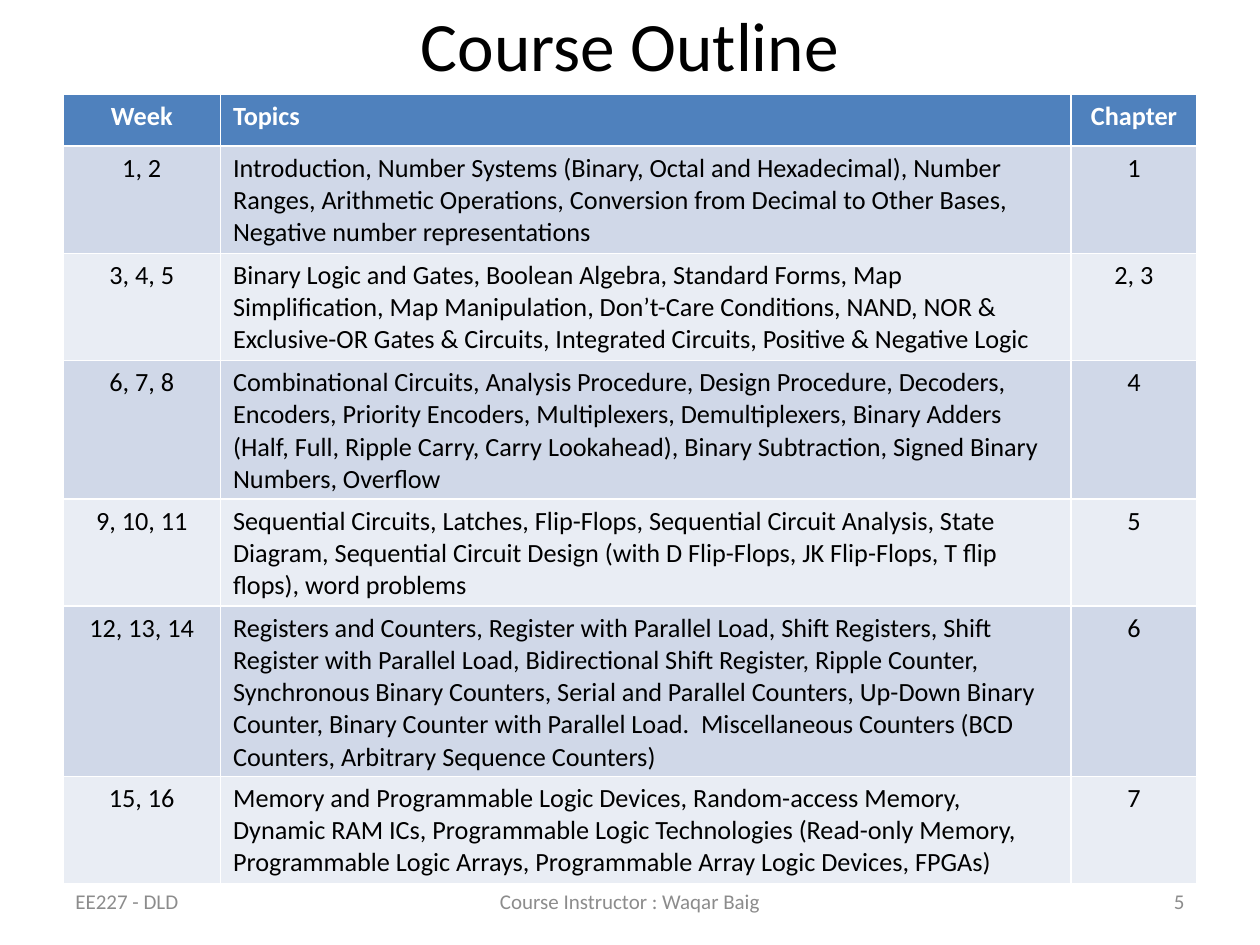
from pptx import Presentation
from pptx.dml.color import RGBColor
from pptx.enum.text import MSO_ANCHOR, PP_ALIGN
from pptx.util import Inches, Pt

FONT = "Calibri"
BLACK = RGBColor(0x00, 0x00, 0x00)
WHITE = RGBColor(0xFF, 0xFF, 0xFF)
GREY = RGBColor(0x8C, 0x8C, 0x8C)
BLUE = RGBColor(0x4F, 0x81, 0xBD)
BANDS = RGBColor(0xE9, 0xED, 0xF4), RGBColor(0xD0, 0xD8, 0xE8)
LEFT, MID, RIGHT = PP_ALIGN.LEFT, PP_ALIGN.CENTER, PP_ALIGN.RIGHT

WIDE, HIGH = 10, 7.5
EDGE = WIDE * 0.05
SPAN = WIDE - 2 * EDGE
TOP, ROW = HIGH * 0.1, 0.41
COLS = [(1.25, MID), (6.75, LEFT), (1, MID)]

TITLE = "Course Outline"
ROWS = [
    ("Week", "Topics", "Chapter"),
    ("1, 2",
     "Introduction, Number Systems (Binary, Octal and Hexadecimal), Number "
     "Ranges, Arithmetic Operations, Conversion from Decimal to Other Bases, "
     "Negative number representations", "1"),
    ("3, 4, 5",
     "Binary Logic and Gates, Boolean Algebra, Standard Forms, Map "
     "Simplification, Map Manipulation, Don’t-Care Conditions, NAND, NOR & "
     "Exclusive-OR Gates & Circuits, Integrated Circuits, Positive & Negative "
     "Logic", "2, 3"),
    ("6, 7, 8",
     "Combinational Circuits, Analysis Procedure, Design Procedure, Decoders, "
     "Encoders, Priority Encoders, Multiplexers, Demultiplexers, Binary Adders "
     "(Half, Full, Ripple Carry, Carry Lookahead), Binary Subtraction, Signed "
     "Binary Numbers, Overflow", "4"),
    ("9, 10, 11",
     "Sequential Circuits, Latches, Flip-Flops, Sequential Circuit Analysis, "
     "State Diagram, Sequential Circuit Design (with D Flip-Flops, JK "
     "Flip-Flops, T flip flops), word problems", "5"),
    ("12, 13, 14",
     "Registers and Counters, Register with Parallel Load, Shift Registers, "
     "Shift Register with Parallel Load, Bidirectional Shift Register, Ripple "
     "Counter, Synchronous Binary Counters, Serial and Parallel Counters, "
     "Up-Down Binary Counter, Binary Counter with Parallel Load.  "
     "Miscellaneous Counters (BCD Counters, Arbitrary Sequence Counters)", "6"),
    ("15, 16",
     "Memory and Programmable Logic Devices, Random-access Memory, Dynamic RAM "
     "ICs, Programmable Logic Technologies (Read-only Memory, Programmable "
     "Logic Arrays, Programmable Array Logic Devices, FPGAs)", "7"),
]
# Footer: text, width, alignment; each is set against its side of the margins
FOOTER = [
    ("EE227 - DLD", 2.33, LEFT),
    ("Course Instructor : Waqar Baig", 3.17, MID),
    ("5", 2.33, RIGHT),
]


def write(frame, text, size, color, align, bold=False):
    para = frame.paragraphs[0]
    para.alignment = align
    run = para.add_run()
    run.text = text
    font = run.font
    font.name, font.size, font.bold = FONT, Pt(size), bold
    font.color.rgb = color


def label(slide, box, text, size, color, align):
    frame = slide.shapes.add_textbox(*map(Inches, box)).text_frame
    frame.word_wrap = True
    frame.vertical_anchor = MSO_ANCHOR.MIDDLE
    write(frame, text, size, color, align)


def outline(slide):
    """Add the course table; rows grow to hold their text."""
    box = EDGE, TOP, SPAN, ROW * len(ROWS)
    table = slide.shapes.add_table(
        len(ROWS), len(COLS), *map(Inches, box)).table
    for col, (width, _) in zip(table.columns, COLS):
        col.width = Inches(width)
    for r, row in enumerate(ROWS):
        table.rows[r].height = Inches(ROW)
        head = r == 0
        for c, text in enumerate(row):
            cell = table.cell(r, c)
            cell.fill.solid()
            cell.fill.fore_color.rgb = BLUE if head else BANDS[r % 2]
            write(cell.text_frame, text, 15, WHITE if head else BLACK,
                  COLS[c][1], head)


def main():
    deck = Presentation()
    deck.slide_width, deck.slide_height = Inches(WIDE), Inches(HIGH)
    slide = deck.slides.add_slide(deck.slide_layouts[6])
    label(slide, (EDGE, 0, SPAN, 0.7), TITLE, 39.6, BLACK, MID)
    outline(slide)
    for i, (text, width, align) in enumerate(FOOTER):
        left = EDGE + (SPAN - width) * i / (len(FOOTER) - 1)
        label(slide, (left, 6.95, width, 0.4), text, 12, GREY, align)
    deck.save("out.pptx")


if __name__ == "__main__":
    main()
